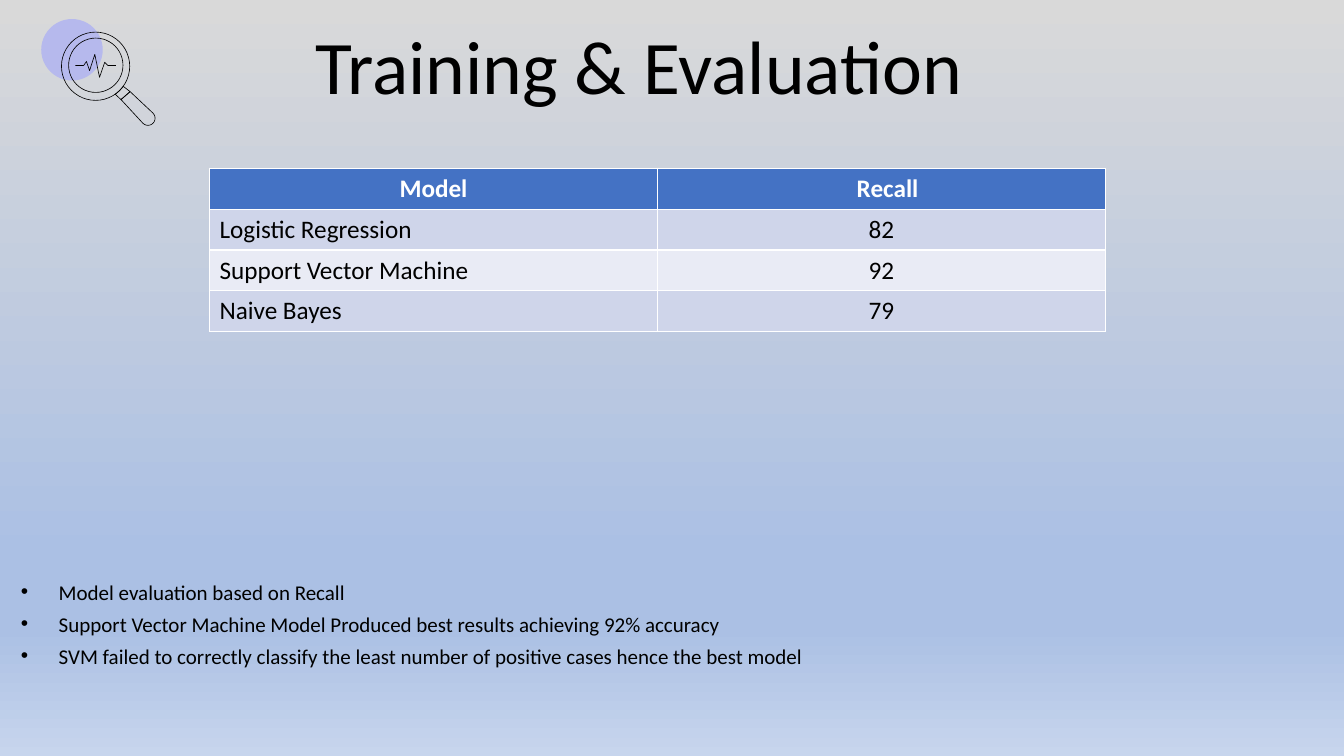
from math import cos, radians, sin

from lxml.etree import SubElement
from pptx import Presentation
from pptx.dml.color import RGBColor
from pptx.enum.shapes import MSO_SHAPE as Shape
from pptx.enum.text import MSO_ANCHOR as Anchor, MSO_AUTO_SIZE as AutoSize, PP_ALIGN as Align
from pptx.oxml.ns import qn
from pptx.util import Cm, Pt

BACKDROP = [(0, "D9D9D9"), (74, "ABC0E4"), (83, "ABC0E4"), (100, "C7D5ED")]
RESULTS = [
    ("Model", "Recall"),
    ("Logistic Regression", "82"),
    ("Support Vector Machine", "92"),
    ("Naive Bayes", "79"),
]
FINDINGS = [
    "Model evaluation based on Recall",
    "Support Vector Machine Model Produced best results achieving 92% accuracy",
    "SVM failed to correctly classify the least number of positive cases hence the best model",
]
PULSE = [(1.88, 1.17), (1.68, 1.17), (1.6, 1.09), (1.47, 1.47), (1.35, 0.89),
         (1.22, 1.3), (1.14, 1.07), (1.07, 1.17), (0.86, 1.17)]


def color(code):
    return RGBColor.from_string(code)


def apply(target, formats):
    for name, value in formats.items():
        setattr(target, name, value)


def write(para, text, size, code="000000", bold=False):
    span = para.add_run()
    span.text = text
    apply(span.font, {"name": "Calibri", "size": Pt(size), "bold": bold})
    span.font.color.rgb = color(code)


def place(target, box):
    apply(target, dict(zip(("left", "top", "width", "height"), map(Cm, box))))


def paint_background(page):
    fill = page.background.fill
    fill.gradient()
    fill.gradient_angle = 270
    stops = page.element.find(".//" + qn("a:gsLst"))
    for stop in list(stops):
        stops.remove(stop)
    for position, code in BACKDROP:
        stop = SubElement(stops, qn("a:gs"), pos=str(position * 1000))
        SubElement(stop, qn("a:srgbClr"), val=code)


def add_title(page, box):
    title = page.shapes.title
    place(title, box)
    apply(title.text_frame, {"auto_size": AutoSize.NONE, "vertical_anchor": Anchor.BOTTOM,
                             "word_wrap": True})
    para = title.text_frame.paragraphs[0]
    apply(para, {"alignment": Align.CENTER, "line_spacing": 0.9})
    write(para, "Training & Evaluation", 54)


def add_findings(page, box):
    frame = page.shapes.add_textbox(*map(Cm, box)).text_frame
    frame.word_wrap = True
    for index, finding in enumerate(FINDINGS):
        para = frame.add_paragraph() if index else frame.paragraphs[0]
        apply(para, {"line_spacing": 0.7, "space_before": Pt(10)})
        properties = para._p.get_or_add_pPr()
        properties.set("marL", str(Cm(0.95)))
        properties.set("indent", str(Cm(-0.95)))
        SubElement(properties, qn("a:buFont"), typeface="Arial")
        SubElement(properties, qn("a:buChar"), char="•")
        write(para, finding, 15)


def add_results(page, box):
    table = page.shapes.add_table(len(RESULTS), 2, *map(Cm, box)).table
    for row, values in enumerate(RESULTS):
        header = row == 0
        fill = "4472C4" if header else ("E9EBF5", "CFD5EA")[row % 2]
        for column, value in enumerate(values):
            cell = table.cell(row, column)
            cell.fill.solid()
            cell.fill.fore_color.rgb = color(fill)
            para = cell.text_frame.paragraphs[0]
            para.alignment = Align.CENTER if header or column else Align.LEFT
            write(para, value, 18, "FFFFFF" if header else "000000", header)
    table.cell(0, 1).margin_left = Cm(0.56)


def arc(center, radius, start, end, steps=12):
    angles = [radians(start + (end - start) * step / steps) for step in range(steps + 1)]
    return [(center[0] + radius * cos(angle), center[1] + radius * sin(angle))
            for angle in angles]


def outline(shape):
    shape.shadow.inherit = False
    shape.fill.background()
    shape.line.width = Pt(0.45)
    shape.line.color.rgb = color("000000")


def add_magnifier(page, left, top):
    shapes = page.shapes.add_group_shape().shapes

    def circle(x, y, size):
        return shapes.add_shape(Shape.OVAL, Cm(left + x), Cm(top + y), Cm(size), Cm(size))

    def trace(points, close=True):
        corners = [(Cm(left + x), Cm(top + y)) for x, y in points]
        builder = shapes.build_freeform(*corners[0])
        builder.add_line_segments(corners[1:], close=close)
        outline(builder.convert_to_shape())

    blob = circle(0, 0, 1.55)
    blob.shadow.inherit = False
    blob.fill.solid()
    blob.fill.fore_color.rgb = color("B6B9ED")
    blob.line.fill.background()
    outline(circle(0.51, 0.33, 1.72))
    outline(circle(0.69, 0.48, 1.37))
    trace(PULSE, close=False)
    upper, lower = (2.24, 1.83), (2.01, 2.03)
    trace([upper, lower] + arc((1.37, 1.19), 0.86, 55, 36))
    trace([upper, lower] + arc((2.69, 2.5), 0.18, 135, -45))


def build_evaluation_page(deck):
    page = deck.slides.add_slide(deck.slide_layouts[5])
    paint_background(page)
    add_title(page, (3.4, 1.12, 25.4, 1.8))
    add_findings(page, (0.28, 14.66, 22.1, 2.64))
    add_magnifier(page, 1.04, 0.48)
    add_results(page, (5.28, 4.24, 22.58, 4.12))


def main():
    deck = Presentation()
    apply(deck, {"slide_width": Cm(33.87), "slide_height": Cm(19.05)})
    build_evaluation_page(deck)
    deck.save("out.pptx")


if __name__ == "__main__":
    main()
